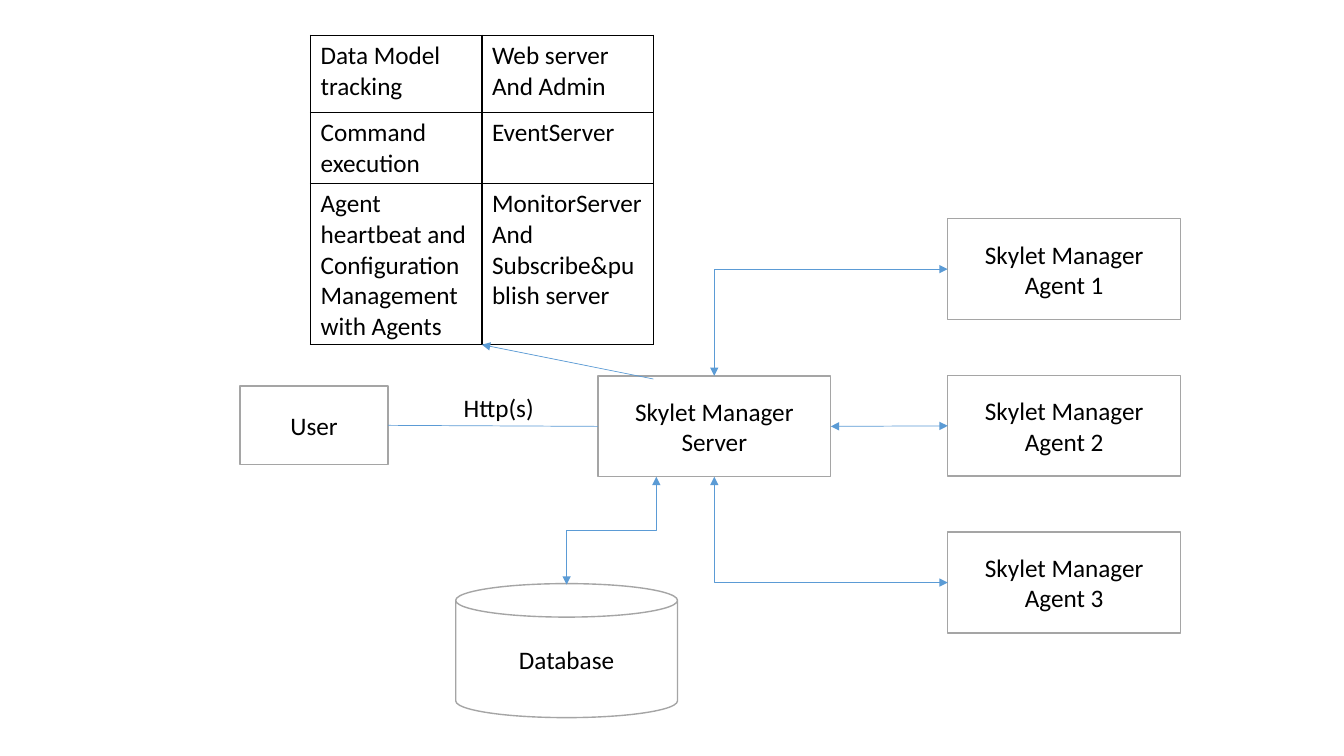
from lxml import etree
from pptx import Presentation
from pptx.dml.color import RGBColor
from pptx.enum.shapes import MSO_CONNECTOR, MSO_SHAPE
from pptx.enum.text import MSO_ANCHOR, PP_ALIGN
from pptx.oxml.ns import qn
from pptx.util import Inches, Pt

RECT, CAN = MSO_SHAPE.RECTANGLE, MSO_SHAPE.CAN
LINE, ELBOW = MSO_CONNECTOR.STRAIGHT, MSO_CONNECTOR.ELBOW
CENTER, MIDDLE = PP_ALIGN.CENTER, MSO_ANCHOR.MIDDLE
TOP, LEFT, BOTTOM, RIGHT = range(4)
BLACK, WHITE, GRAY, BLUE = "000000", "FFFFFF", "A5A5A5", "5B9BD5"

MODULES = [
    ("Data Model\ntracking", "Web server And Admin"),
    ("Command execution", "EventServer"),
    ("Agent heartbeat and Configuration Management with Agents",
     "MonitorServer\nAnd Subscribe&publish server"),
]
HEIGHTS = [0.77, 0.7, 1.6]


def color(code):
    return RGBColor.from_string(code)


def write(frame, text):
    frame.text = text
    for par in frame.paragraphs:
        for run in par.runs:
            run.font.name = "Calibri"
            run.font.size = Pt(18)
            run.font.color.rgb = color(BLACK)


def add_box(slide, kind, text, x, y, w, h):
    box = slide.shapes.add_shape(kind, Inches(x), Inches(y), Inches(w), Inches(h))
    box.shadow.inherit = False
    box.fill.solid()
    box.fill.fore_color.rgb = color(WHITE)
    box.line.color.rgb = color(GRAY)
    box.line.width = Pt(1)
    write(box.text_frame, text)
    box.text_frame.vertical_anchor = MIDDLE
    box.text_frame.paragraphs[0].alignment = CENTER
    return box


def add_link(slide, kind, start, end, ends=()):
    points = [Inches(v) for v in (*start, *end)]
    link = slide.shapes.add_connector(kind, *points)
    link.line.color.rgb = color(BLUE)
    link.line.width = Pt(0.5)
    props = link._element.spPr
    for name in ends:
        etree.SubElement(props.find(qn("a:ln")), qn("a:" + name), type="triangle")
    etree.SubElement(props, qn("a:effectLst"))
    return link


def join(link, first, site, last, port):
    link.begin_connect(first, site)
    link.end_connect(last, port)


def add_label(slide, text, x, y, w, h):
    label = slide.shapes.add_textbox(Inches(x), Inches(y), Inches(w), Inches(h))
    label.text_frame.word_wrap = False
    write(label.text_frame, text)


def add_border(cell):
    props = cell._tc.get_or_add_tcPr()
    for side in ("lnL", "lnR", "lnT", "lnB"):
        edge = etree.SubElement(props, qn("a:" + side), w=str(Pt(1)))
        fill = etree.SubElement(edge, qn("a:solidFill"))
        etree.SubElement(fill, qn("a:srgbClr"), val=BLACK)


def add_grid(slide, x, y, w):
    frame = slide.shapes.add_table(len(MODULES), 2, Inches(x), Inches(y),
                                   Inches(w), Inches(sum(HEIGHTS)))
    table = frame.table
    table.first_row = table.horz_banding = False
    for r, (row, height) in enumerate(zip(MODULES, HEIGHTS)):
        table.rows[r].height = Inches(height)
        for c, text in enumerate(row):
            cell = table.cell(r, c)
            add_border(cell)
            cell.fill.background()
            write(cell.text_frame, text)


def main():
    deck = Presentation()
    deck.slide_width, deck.slide_height = Inches(13.33), Inches(7.5)
    slide = deck.slides.add_slide(deck.slide_layouts[6])
    both = ("headEnd", "tailEnd")

    server = add_box(slide, RECT, "Skylet Manager Server", 5.93, 3.73, 2.31, 1)
    user = add_box(slide, RECT, "User", 2.38, 3.83, 1.47, 0.78)
    agents = [add_box(slide, RECT, f"Skylet Manager Agent {i + 1}",
                      9.4, 2.17 + 1.555 * i, 2.31, 1) for i in range(3)]
    add_box(slide, CAN, "Database", 4.52, 5.79, 2.2, 1.33)

    link = add_link(slide, LINE, (8.25, 4.23), (9.4, 4.23), both)
    join(link, server, RIGHT, agents[1], LEFT)
    for agent, y, edge, site in ((agents[0], 2.67, 3.73, TOP),
                                 (agents[2], 5.78, 4.73, BOTTOM)):
        link = add_link(slide, ELBOW, (9.4, y), (7.09, edge), both)
        link._element.spPr.find(qn("a:prstGeom")).set("prst", "bentConnector2")
        join(link, agent, LEFT, server, site)

    store = add_link(slide, ELBOW, (5.53, 4.82), (6.6, 5.71), both)
    store._element.spPr.find(qn("a:xfrm")).set("rot", "5400000")
    link = add_link(slide, LINE, (3.85, 4.22), (5.93, 4.23))
    join(link, user, RIGHT, server, LEFT)

    add_label(slide, "Http(s)", 4.5, 3.84, 0.91, 0.4)
    add_grid(slide, 3.08, 0.35, 3.4)
    add_link(slide, LINE, (6.48, 3.76), (4.78, 3.42), ["tailEnd"])
    deck.save("out.pptx")


main()
